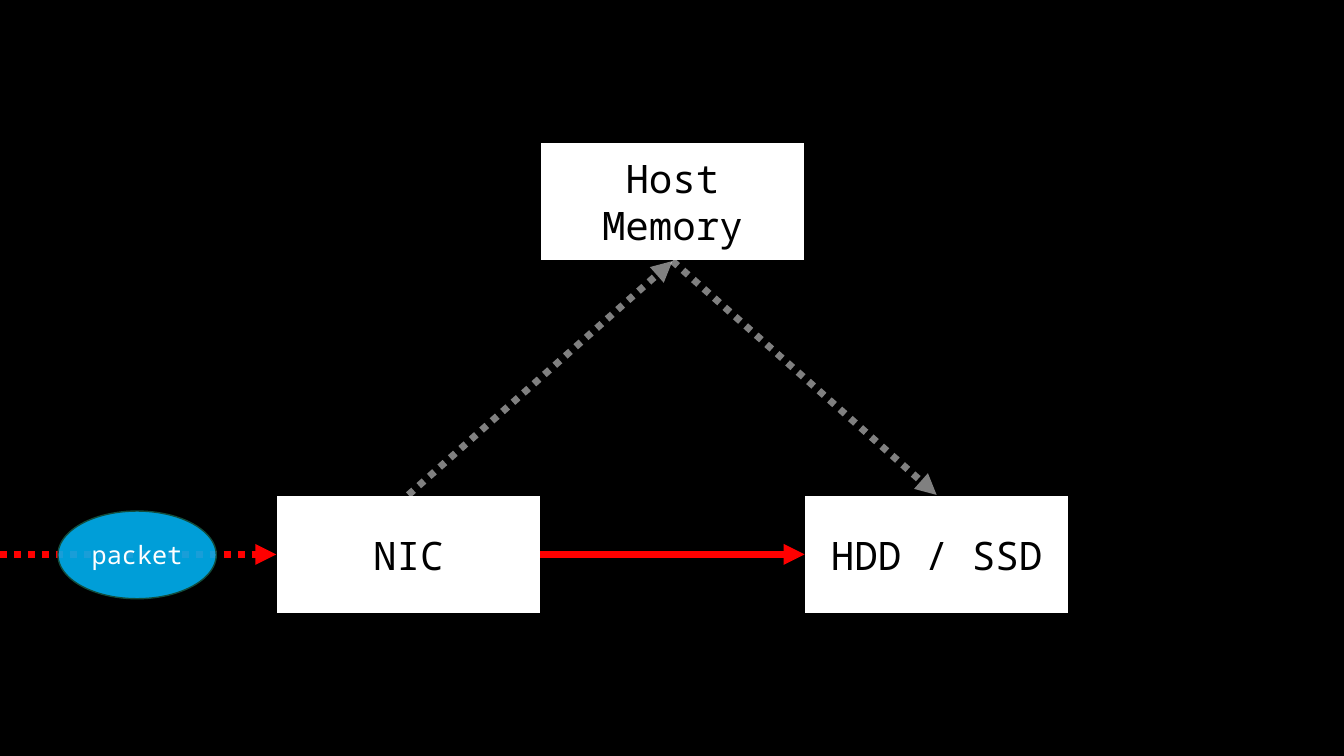
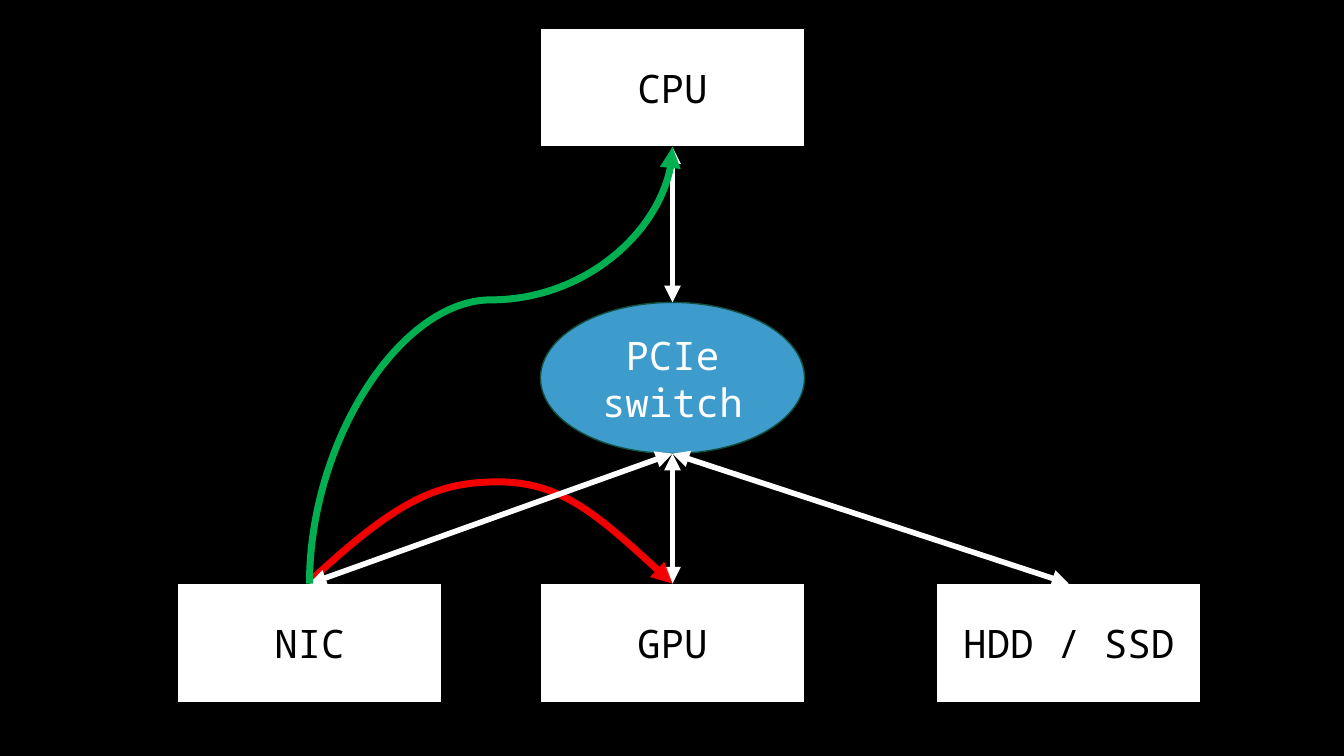
from dataclasses import dataclass
from typing import Optional, Union

from lxml import etree
from pptx import Presentation
from pptx import util as u
from pptx.dml.color import RGBColor
from pptx.enum import dml, shapes, text
from pptx.oxml.ns import qn

FONT = "Noto Sans Mono"
BLACK, WHITE, RED, GREEN = "000000", "FFFFFF", "FF0000", "00B050"
OVAL_EDGE = "124D3D"
BOX_W, BOX_H = 2.62, 1.18
MID_X = 6.67
TOP, LEFT, BOTTOM, RIGHT = range(4)

Point = tuple[float, float]
Anchor = tuple[str, int]  # node label and side


@dataclass
class Node:
    label: str
    cx: float
    top: float
    w: float = BOX_W
    h: float = BOX_H
    geom: shapes.MSO_SHAPE = shapes.MSO_SHAPE.FLOWCHART_PROCESS
    fill: str = WHITE
    edge: str = BLACK
    color: str = BLACK
    size: int = 28
    opacity: Optional[int] = None


@dataclass
class Link:
    start: Union[Point, Anchor]
    end: Union[Point, Anchor]
    color: str = WHITE
    width: float = 5
    dotted: bool = False
    opacity: Optional[int] = None
    both: bool = False


def paint(fill, color: str, opacity: Optional[int] = None) -> None:
    """Make a fill solid, with opacity in percent."""
    fill.solid()
    fill.fore_color.rgb = RGBColor.from_string(color)
    if opacity is not None:
        clr = fill._xPr.find(f"{qn('a:solidFill')}/{qn('a:srgbClr')}")
        etree.SubElement(clr, qn("a:alpha"), val=str(opacity * 1000))


def style_line(sp, link: Link) -> None:
    """Give a connector or open path its stroke and arrowheads."""
    line = sp.line
    line.width = u.Pt(link.width)
    paint(line.fill, link.color, link.opacity)
    if link.dotted:
        line.dash_style = dml.MSO_LINE.ROUND_DOT
    ln = line._get_or_add_ln()
    for tag in ("a:headEnd", "a:tailEnd") if link.both else ("a:tailEnd",):
        etree.SubElement(ln, qn(tag), type="triangle")
    if sp._element.spPr.find(qn("a:effectLst")) is None:
        etree.SubElement(sp._element.spPr, qn("a:effectLst"))


def add_node(s, node: Node):
    sp = s.shapes.add_shape(node.geom, u.Inches(node.cx - node.w / 2), u.Inches(node.top),
                            u.Inches(node.w), u.Inches(node.h))
    sp.shadow.inherit = False
    paint(sp.fill, node.fill, node.opacity)
    paint(sp.line.fill, node.edge)
    sp.line.width = u.Pt(1)
    tf = sp.text_frame
    tf.text = node.label
    for name, value in {"word_wrap": True, "vertical_anchor": text.MSO_ANCHOR.MIDDLE}.items():
        setattr(tf, name, value)
    for p in tf.paragraphs:
        p.alignment = text.PP_ALIGN.CENTER
        for r in p.runs:
            for name, value in {"name": FONT, "size": u.Pt(node.size)}.items():
                setattr(r.font, name, value)
            paint(r.font.fill, node.color)
    return sp


def add_link(s, nodes: dict, link: Link) -> None:
    """Draw a straight arrow; ends given as anchors are joined to their node."""
    ends = [(0, 0) if isinstance(e[0], str) else e for e in (link.start, link.end)]
    cxn = s.shapes.add_connector(shapes.MSO_CONNECTOR.STRAIGHT,
                                 *(u.Inches(v) for point in ends for v in point))
    for end, join in ((link.start, cxn.begin_connect), (link.end, cxn.end_connect)):
        if isinstance(end[0], str):
            join(nodes[end[0]], end[1])
    style_line(cxn, link)


def add_rising_curve(s, link: Link, bend: float) -> None:
    """Draw an S-curve that leaves and arrives vertically, turned 90 degrees."""
    (x1, y1), (x2, y2) = link.start, link.end
    cx, cy = (x1 + x2) / 2, (y1 + y2) / 2
    half_w, half_h = abs(y2 - y1) / 2, abs(x2 - x1) / 2
    corners = (cx + half_w, cy + half_h, cx - half_w, cy - half_h)
    cxn = s.shapes.add_connector(shapes.MSO_CONNECTOR.CURVE, *map(u.Inches, corners))
    sp_pr = cxn._element.spPr
    sp_pr.find(qn("a:xfrm")).set("rot", "5400000")
    geom = sp_pr.find(qn("a:prstGeom"))
    av = geom.find(qn("a:avLst"))
    if av is None:
        av = etree.SubElement(geom, qn("a:avLst"))
    etree.SubElement(av, qn("a:gd"), name="adj1", fmla=f"val {round(bend * 100000)}")
    style_line(cxn, link)


def add_bezier(s, points: list[Point], link: Link) -> None:
    """Draw cubic curves: a start, then two controls and an end for each."""
    start, *rest = [(u.Inches(x), u.Inches(y)) for x, y in points]
    builder = s.shapes.build_freeform(*start)
    builder.add_line_segments(rest, close=False)
    sp = builder.convert_to_shape()
    segments = list(sp._element.iter(qn("a:lnTo")))
    for i in range(0, len(segments), 3):
        curve = etree.Element(qn("a:cubicBezTo"))
        segments[i].addprevious(curve)
        for seg in segments[i:i + 3]:
            curve.append(seg[0])
            seg.getparent().remove(seg)
    sp.shadow.inherit = False
    sp.fill.background()
    style_line(sp, link)


def add_slide(prs):
    s = prs.slides.add_slide(prs.slide_layouts[6])
    paint(s.background.fill, BLACK)
    return s


def add_nodes(s, nodes: list[Node]) -> dict:
    return {node.label: add_node(s, node) for node in nodes}


def build_storage_path(prs) -> None:
    s = add_slide(prs)
    row = 4.91
    nodes = add_nodes(s, [
        Node("Host Memory", MID_X, 1.41),
        Node("NIC", MID_X - BOX_W, row),
        Node("HDD / SSD", MID_X + BOX_W, row),
    ])
    memory = ("Host Memory", BOTTOM)
    detour = {"dotted": True, "opacity": 50}
    for link in (
        Link(("NIC", TOP), memory, **detour),
        Link(memory, ("HDD / SSD", TOP), **detour),
        Link((0, row + BOX_H / 2), ("NIC", LEFT), RED, dotted=True),
    ):
        add_link(s, nodes, link)
    add_node(s, Node("packet", 1.36, 5.07, 1.57, 0.87, shapes.MSO_SHAPE.FLOWCHART_CONNECTOR,
                     "00B0F0", OVAL_EDGE, WHITE, 18, 90))
    add_link(s, nodes, Link(("NIC", RIGHT), ("HDD / SSD", LEFT), RED))


def build_switch_topology(prs) -> None:
    s = add_slide(prs)
    row, nic_x, cpu_top = 5.79, 3.07, 0.28
    switch = "PCIe\nswitch"
    nodes = add_nodes(s, [
        Node("CPU", MID_X, cpu_top),
        Node("NIC", nic_x, row),
        Node("HDD / SSD", 10.6, row),
        Node("GPU", MID_X, row),
        Node(switch, MID_X, 3, h=1.5, geom=shapes.MSO_SHAPE.OVAL,
             fill="3D9CCC", edge=OVAL_EDGE, color=WHITE),
    ])
    bus = {"width": 4, "both": True}
    switch_bottom = (MID_X, 4.5)
    for start, end in (
        (("GPU", TOP), switch_bottom),
        (("HDD / SSD", TOP), switch_bottom),
        ((switch, TOP), ("CPU", BOTTOM)),
    ):
        add_link(s, nodes, Link(start, end, **bus))
    nic_top = (nic_x, row)
    gpu_top = (MID_X, row)
    add_bezier(s, [(nic_x, 5.77), (3.97, 4.93), (4.36, 4.78), (4.96, 4.78),
                   (5.56, 4.79), (5.96, 5.13), gpu_top],
               Link(nic_top, gpu_top, RED, opacity=95))
    add_link(s, nodes, Link(("NIC", TOP), switch_bottom, **bus))
    add_rising_curve(s, Link(nic_top, (MID_X, cpu_top + BOX_H), GREEN), 0.65)


def main() -> None:
    prs = Presentation()
    prs.slide_width, prs.slide_height = u.Inches(13.33), u.Inches(7.5)
    build_storage_path(prs)
    build_switch_topology(prs)
    prs.save("out.pptx")


if __name__ == "__main__":
    main()
